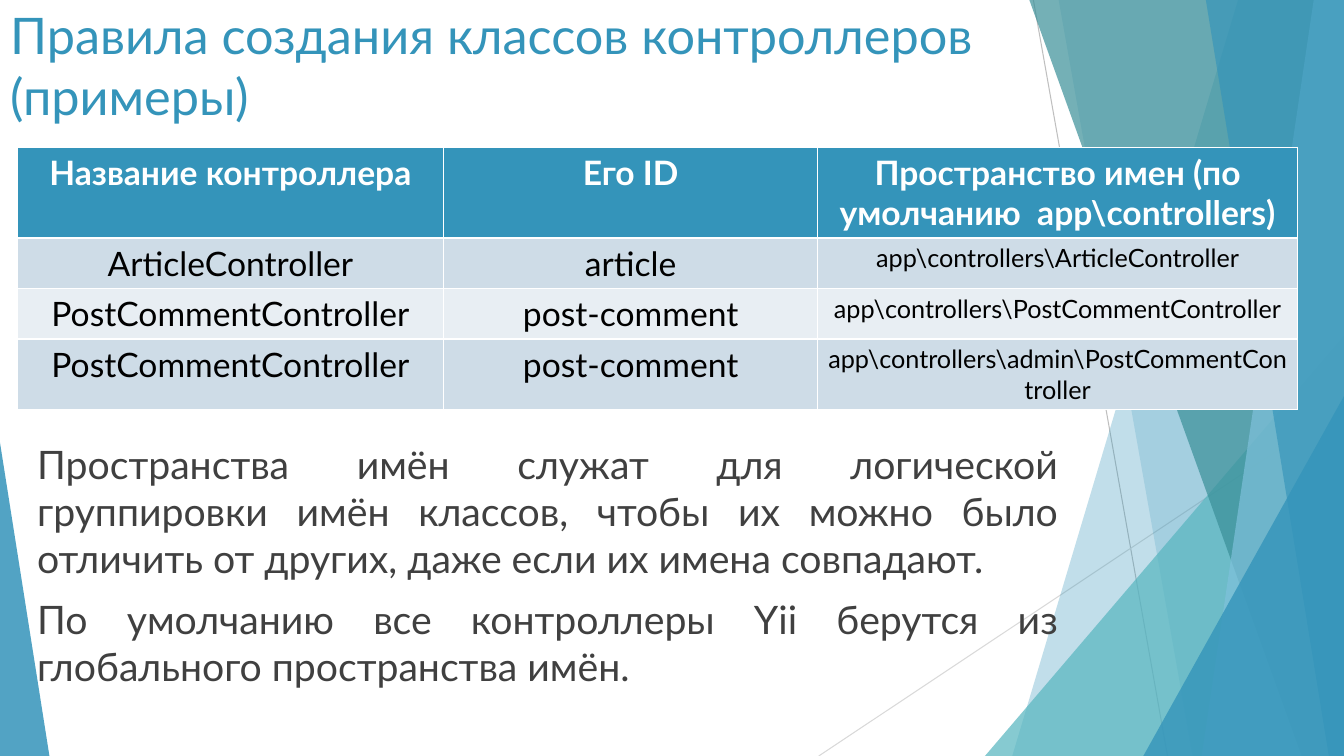
from dataclasses import dataclass

from lxml.etree import SubElement
from pptx import Presentation
from pptx.dml.color import RGBColor
from pptx.enum.shapes import MSO_CONNECTOR, MSO_SHAPE
from pptx.enum.text import MSO_ANCHOR, MSO_AUTO_SIZE, PP_ALIGN
from pptx.oxml.ns import qn
from pptx.util import Inches, Pt


@dataclass(frozen=True)
class Theme:
    font: str = "Lato"
    accent: str = "3494BA"
    pale_blue: str = "7FC1DB"
    teal: str = "58B6C0"
    dark_teal: str = "3A8F98"
    body: str = "404040"
    black: str = "000000"
    white: str = "FFFFFF"
    odd_row: str = "CEDCE7"
    even_row: str = "E8EEF3"
    rays: tuple = ("BFBFBF", "D9D9D9")
    title_size: int = 36
    body_size: int = 28
    cell_size: int = 24
    namespace_size: int = 18


@dataclass(frozen=True)
class Box:
    left: int
    top: int
    width: int
    height: int

    def x(self, percent):
        return round(self.left + self.width * percent / 100)

    def y(self, percent):
        return round(self.top + self.height * percent / 100)

    def inner(self, left, top, right, bottom):
        """Return the inner box whose edges are given in percent of this one."""
        x, y = self.x(left), self.y(top)
        return Box(x, y, self.x(right) - x, self.y(bottom) - y)

    @property
    def bounds(self):
        return self.left, self.top, self.width, self.height


THEME = Theme()
ROWS = [
    ("Название контроллера", "Его ID", "Пространство имен (по умолчанию  app\\controllers)"),
    ("ArticleController", "article", "app\\controllers\\ArticleController"),
    ("PostCommentController", "post-comment", "app\\controllers\\PostCommentController"),
    ("PostCommentController", "post-comment", "app\\controllers\\admin\\PostCommentController"),
]
COLUMN_WIDTHS = (4.23, 3.71, 4.76)
ROW_HEIGHTS = (0.89, 0.5, 0.5, 0.7)
NOTES = [
    "Пространства имён служат для логической группировки имён классов, "
    "чтобы их можно было отличить от других, даже если их имена совпадают.",
    "По умолчанию все контроллеры Yii берутся из глобального пространства имён.",
]


def write(para, text, size, color, bold=False, align=PP_ALIGN.LEFT, before=0):
    para.text = text
    para.alignment = align
    para.space_before = Pt(before)
    for span in para.runs:
        span.font.name = THEME.font
        span.font.size = Pt(size)
        span.font.bold = bold
        span.font.color.rgb = RGBColor.from_string(color)


def paint(shape, color, opacity):
    shape.shadow.inherit = False
    shape.line.fill.background()
    shape.fill.solid()
    shape.fill.fore_color.rgb = RGBColor.from_string(color)
    tint = shape._element.spPr.find(qn("a:solidFill"))[0]
    SubElement(tint, qn("a:alpha"), val=str(opacity * 1000))


def add_ray(page, box, start, end, color):
    ray = page.shapes.add_connector(
        MSO_CONNECTOR.STRAIGHT, box.x(start[0]), box.y(start[1]), box.x(end[0]), box.y(end[1]))
    ray.line.color.rgb = RGBColor.from_string(color)
    ray.line.width = Pt(0.75)
    SubElement(ray._element.spPr, qn("a:effectLst"))


def add_band(page, box, top, bottom, color, opacity):
    """Fill from a slanted left edge to the right side of the box."""
    builder = page.shapes.build_freeform(box.x(top), box.y(0))
    builder.add_line_segments(
        [(box.x(100), box.y(0)), (box.x(100), box.y(100)), (box.x(bottom), box.y(100))])
    paint(builder.convert_to_shape(), color, opacity)


def add_wedge(page, box, apex, color, opacity):
    wedge = page.shapes.add_shape(MSO_SHAPE.ISOSCELES_TRIANGLE, *box.bounds)
    wedge.adjustments[0] = apex
    paint(wedge, color, opacity)


def add_facets(page, box):
    add_ray(page, box, (76.89, 0), (86.87, 100), THEME.rays[0])
    add_ray(page, box, (100, 53.73), (60.92, 100), THEME.rays[1])
    add_band(page, box, 92.12, 75.32, THEME.accent, 30)
    add_band(page, box, 78.77, 88.75, THEME.accent, 20)
    add_wedge(page, box.inner(73.29, 44.4, 100, 100), 1, THEME.teal, 72)
    add_band(page, box, 76.59, 96.85, THEME.dark_teal, 70)
    add_band(page, box, 97.75, 89.42, THEME.pale_blue, 70)
    add_band(page, box, 89.72, 98.87, THEME.accent, 65)
    add_wedge(page, box.inner(85.07, 52.4, 100, 100), 1, THEME.accent, 80)
    add_wedge(page, box.inner(0, 58.53, 3.68, 100), 0, THEME.accent, 85)


def place_title(page, box):
    title = page.shapes.title
    title.left, title.top, title.width, title.height = box.bounds
    frame = title.text_frame
    frame.auto_size = MSO_AUTO_SIZE.NONE
    frame.vertical_anchor = MSO_ANCHOR.MIDDLE
    write(frame.paragraphs[0], "Правила создания классов контроллеров \v(примеры)",
          THEME.title_size, THEME.accent)


def add_controllers(page, box):
    table = page.shapes.add_table(len(ROWS), len(COLUMN_WIDTHS), *box.bounds).table
    for column, share in zip(table.columns, COLUMN_WIDTHS):
        column.width = round(box.width * share / sum(COLUMN_WIDTHS))
    for row, share in zip(table.rows, ROW_HEIGHTS):
        row.height = round(box.height * share / sum(ROW_HEIGHTS))
    for i, texts in enumerate(ROWS):
        header = i == 0
        fill = THEME.accent if header else THEME.odd_row if i % 2 else THEME.even_row
        for j, text in enumerate(texts):
            cell = table.cell(i, j)
            cell.fill.solid()
            cell.fill.fore_color.rgb = RGBColor.from_string(fill)
            namespace = j == 2 and not header
            write(cell.text_frame.paragraphs[0], text,
                  THEME.namespace_size if namespace else THEME.cell_size,
                  THEME.white if header else THEME.black,
                  bold=header, align=PP_ALIGN.CENTER)


def add_notes(page, box):
    frame = page.shapes.add_textbox(*box.bounds).text_frame
    frame.word_wrap = True
    frame.vertical_anchor = MSO_ANCHOR.MIDDLE
    for i, text in enumerate(NOTES):
        para = frame.add_paragraph() if i else frame.paragraphs[0]
        write(para, text, THEME.body_size, THEME.body, align=PP_ALIGN.JUSTIFY, before=10)


def main():
    deck = Presentation()
    deck.slide_width, deck.slide_height = Inches(13.33), Inches(7.5)
    page = deck.slides.add_slide(deck.slide_layouts.get_by_name("Title Only"))
    canvas = Box(0, 0, deck.slide_width, deck.slide_height)
    add_facets(page, canvas)
    place_title(page, canvas.inner(0, 0, 92.65, 17.2))
    add_controllers(page, canvas.inner(1.28, 19.47, 96.55, 54.07))
    add_notes(page, canvas.inner(2.03, 64, 79.45, 85.47))
    deck.save("out.pptx")


if __name__ == "__main__":
    main()
